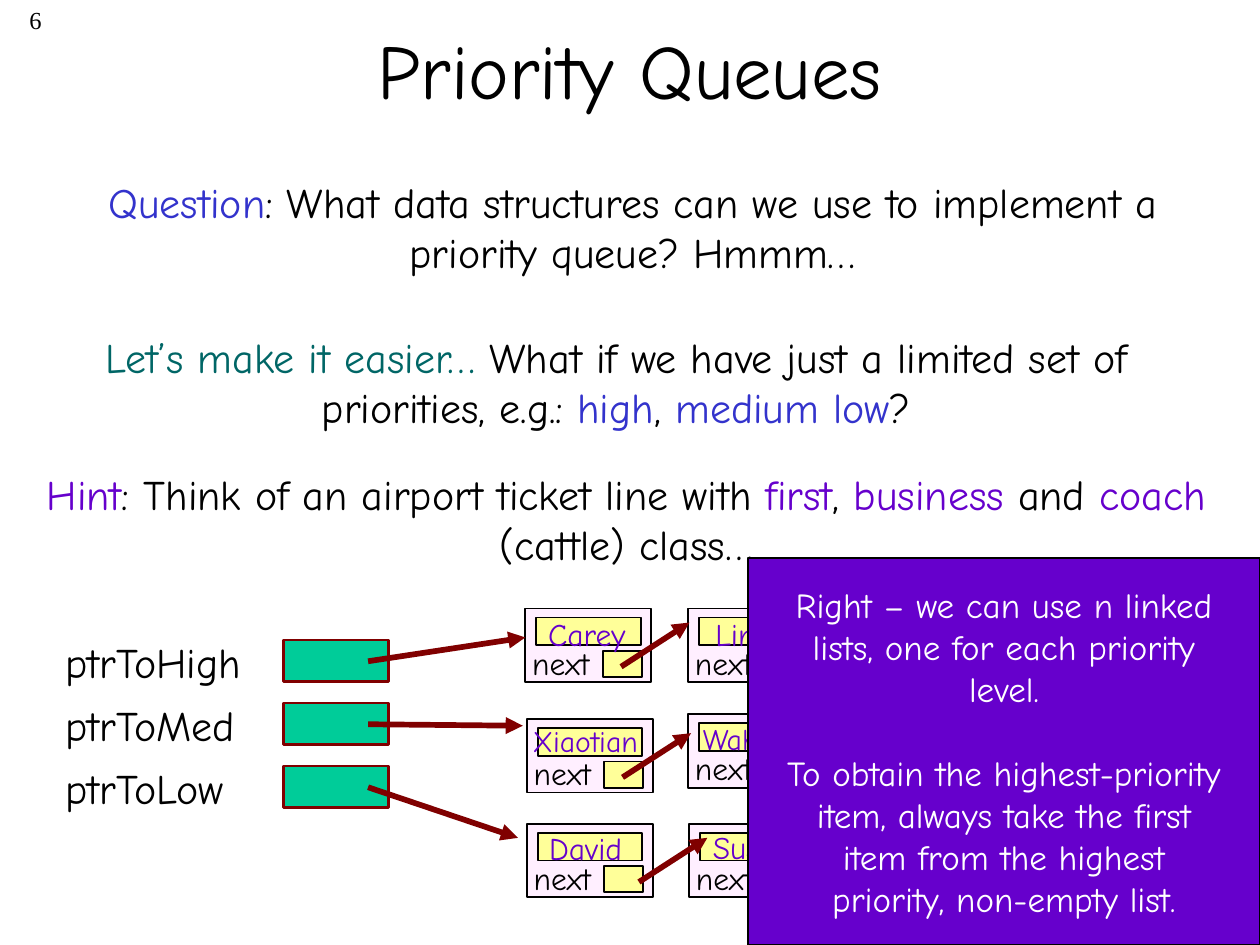
from lxml.etree import SubElement
from pptx import Presentation
from pptx.dml.color import RGBColor
from pptx.enum.shapes import MSO_CONNECTOR, MSO_SHAPE
from pptx.enum.text import MSO_ANCHOR, PP_ALIGN
from pptx.oxml.ns import qn
from pptx.util import Cm, Pt

FONT = "Comic Neue"
BLACK, BLUE, TEAL, PURPLE = "000000", "3333CC", "006666", "6600CC"
MAROON, GREEN, YELLOW, PINK, WHITE = "800000", "00CC99", "FFFF99", "FFEFFF", "FFFFFF"
ROW_STEP = 1.27

QUESTIONS = [
    (1.07, 3.43, 23.37, [
        ("Question", BLUE),
        (": What data structures can we use to implement a priority queue? Hmmm…", BLACK)]),
    (0.43, 6.55, 23.98, [
        ("Let’s make it easier…", TEAL),
        (" What if we have just a limited set of priorities, e.g.: ", BLACK),
        ("high", BLUE), (", ", BLACK), ("medium low", BLUE), ("?", BLACK)]),
    (0.64, 9.32, 23.98, [
        ("Hint", PURPLE), (": Think of an airport ticket line with ", BLACK),
        ("first", PURPLE), (", ", BLACK), ("business", PURPLE), (" and ", BLACK),
        ("coach", PURPLE), (" (cattle) class…", BLACK)]),
]
POINTERS = [
    ("ptrToHigh", (10.59, 12.85)),
    ("ptrToMed", (10.54, 14.63)),
    ("ptrToLow", (10.44, 16.89)),
]
FIRST_NODES = [(10.59, 12.27, 1.93), (10.62, 14.5, 1.93), (10.62, 16.61, 2.26)]
SECOND_NODES = [(13.87, 12.27), (13.87, 14.4), (13.89, 16.61)]
NAMES = [
    ("Carey", 10.8, 12.27, 18), ("Linda", 14.17, 12.27, 18),
    ("Xiaotian", 10.49, 14.45, 17), ("Wahid", 13.92, 14.4, 17),
    ("David", 10.82, 16.59, 18), ("Susan", 14.12, 16.56, 18),
]
ANSWER = [
    [[("Right – we can use ", WHITE), ("n ", PINK), ("linked", WHITE)],
     [("lists, one for each priority", WHITE)],
     [("level.", WHITE)]],
    [[("To obtain the highest-priority", WHITE)],
     [("item, always take the first", WHITE)],
     [("item from the highest", WHITE)],
     [("priority, non-empty list.", WHITE)]],
]


def color(value):
    """Turn a hex string into a colour."""
    return RGBColor.from_string(value)


def set_font(paragraph, size, name=FONT):
    """Set the typeface and size shared by a paragraph."""
    paragraph.font.name = name
    paragraph.font.size = Pt(size)


def add_runs(paragraph, runs):
    """Append coloured runs to a paragraph."""
    for text, run_color in runs:
        run = paragraph.add_run()
        run.text = text
        run.font.color.rgb = color(run_color)


def add_text(slide, left, top, width, height, runs, size,
             align=PP_ALIGN.LEFT, wrap=False, font=FONT):
    """Add a text box with one paragraph."""
    shape = slide.shapes.add_textbox(Cm(left), Cm(top), Cm(width), Cm(height))
    shape.text_frame.word_wrap = wrap
    paragraph = shape.text_frame.paragraphs[0]
    paragraph.alignment = align
    set_font(paragraph, size, font)
    add_runs(paragraph, runs)


def add_box(slide, left, top, width, height, fill, line=BLACK, line_width=1):
    """Add an outlined, filled rectangle."""
    shape = slide.shapes.add_shape(
        MSO_SHAPE.RECTANGLE, Cm(left), Cm(top), Cm(width), Cm(height))
    shape.shadow.inherit = False
    shape.fill.solid()
    shape.fill.fore_color.rgb = color(fill)
    shape.line.color.rgb = color(line)
    shape.line.width = Pt(line_width)
    return shape


def add_arrow(slide, start, end):
    """Add a thick maroon arrow from start to end."""
    connector = slide.shapes.add_connector(
        MSO_CONNECTOR.STRAIGHT, Cm(start[0]), Cm(start[1]), Cm(end[0]), Cm(end[1]))
    connector.line.color.rgb = color(MAROON)
    connector.line.width = Pt(3.25)
    SubElement(connector.line._get_or_add_ln(), qn("a:tailEnd"), type="triangle")
    SubElement(connector._element.spPr, qn("a:effectLst"))


def add_node(slide, left, top, has_pointer):
    """Add a linked list node with its name field and next field."""
    add_box(slide, left, top, 2.54, 1.48, PINK)
    add_box(slide, left + 0.22, top + 0.18, 2.11, 0.56, YELLOW)
    if has_pointer:
        add_box(slide, left + 1.56, top + 0.85, 0.79, 0.53, YELLOW)
    add_text(slide, left - 0.11, top + 0.58, 1.85, 1.02, [("next", BLACK)], 18)


def add_title(slide, text):
    """Fill and place the title placeholder."""
    title = slide.shapes.title
    title.left, title.top, title.width, title.height = Cm(1.9), Cm(-0.2), Cm(21.6), Cm(3.18)
    title.text_frame.vertical_anchor = MSO_ANCHOR.MIDDLE
    paragraph = title.text_frame.paragraphs[0]
    paragraph.alignment = PP_ALIGN.CENTER
    set_font(paragraph, 44)
    add_runs(paragraph, [(text, BLACK)])


def add_lists(slide):
    """Draw the three head pointers, their nodes, arrows and names."""
    for row, (label, _) in enumerate(POINTERS):
        offset = row * ROW_STEP
        add_box(slide, 5.72, 12.9 + offset, 2.11, 0.84, GREEN, MAROON, 1.5)
        add_text(slide, 1.07, 12.7 + offset, 4.62, 1.27, [(label, BLACK)], 24)
    for (left, top, _), second in zip(FIRST_NODES, SECOND_NODES):
        add_node(slide, left, top, True)
        add_node(slide, *second, False)
    for row, (_, target) in enumerate(POINTERS):
        add_arrow(slide, (7.42, 13.33 + row * ROW_STEP), target)
    for left, top, inset in FIRST_NODES:
        start_left, start_top = left + inset, top + 1.17
        add_arrow(slide, (start_left, start_top), (start_left + 1.38, start_top - 0.89))
    for name, left, top, size in NAMES:
        add_text(slide, left, top, 2.9, 1.02, [(name, PURPLE)], size)


def add_answer(slide):
    """Add the purple answer panel."""
    panel = add_box(slide, 15.08, 11.25, 10.32, 7.8, PURPLE)
    frame = panel.text_frame
    frame.word_wrap = False
    frame.vertical_anchor = MSO_ANCHOR.MIDDLE
    for index, lines in enumerate(ANSWER):
        paragraph = frame.add_paragraph() if index else frame.paragraphs[0]
        paragraph.alignment = PP_ALIGN.CENTER
        set_font(paragraph, 20)
        if index:
            paragraph.space_before = Pt(24)
        for line_index, runs in enumerate(lines):
            if line_index:
                paragraph.add_line_break()
            add_runs(paragraph, runs)


def main():
    """Build and save the slide."""
    presentation = Presentation()
    presentation.slide_width, presentation.slide_height = Cm(25.4), Cm(19.05)
    slide = presentation.slides.add_slide(presentation.slide_layouts[5])
    add_text(slide, 0, -0.03, 1.09, 1.27, [("6", BLACK)], 14,
             PP_ALIGN.RIGHT, True, "Times New Roman")
    add_title(slide, "Priority Queues")
    for left, top, width, runs in QUESTIONS:
        add_text(slide, left, top, width, 2.29, runs, 24, PP_ALIGN.CENTER, True)
    add_lists(slide)
    add_answer(slide)
    presentation.save("out.pptx")


if __name__ == "__main__":
    main()
